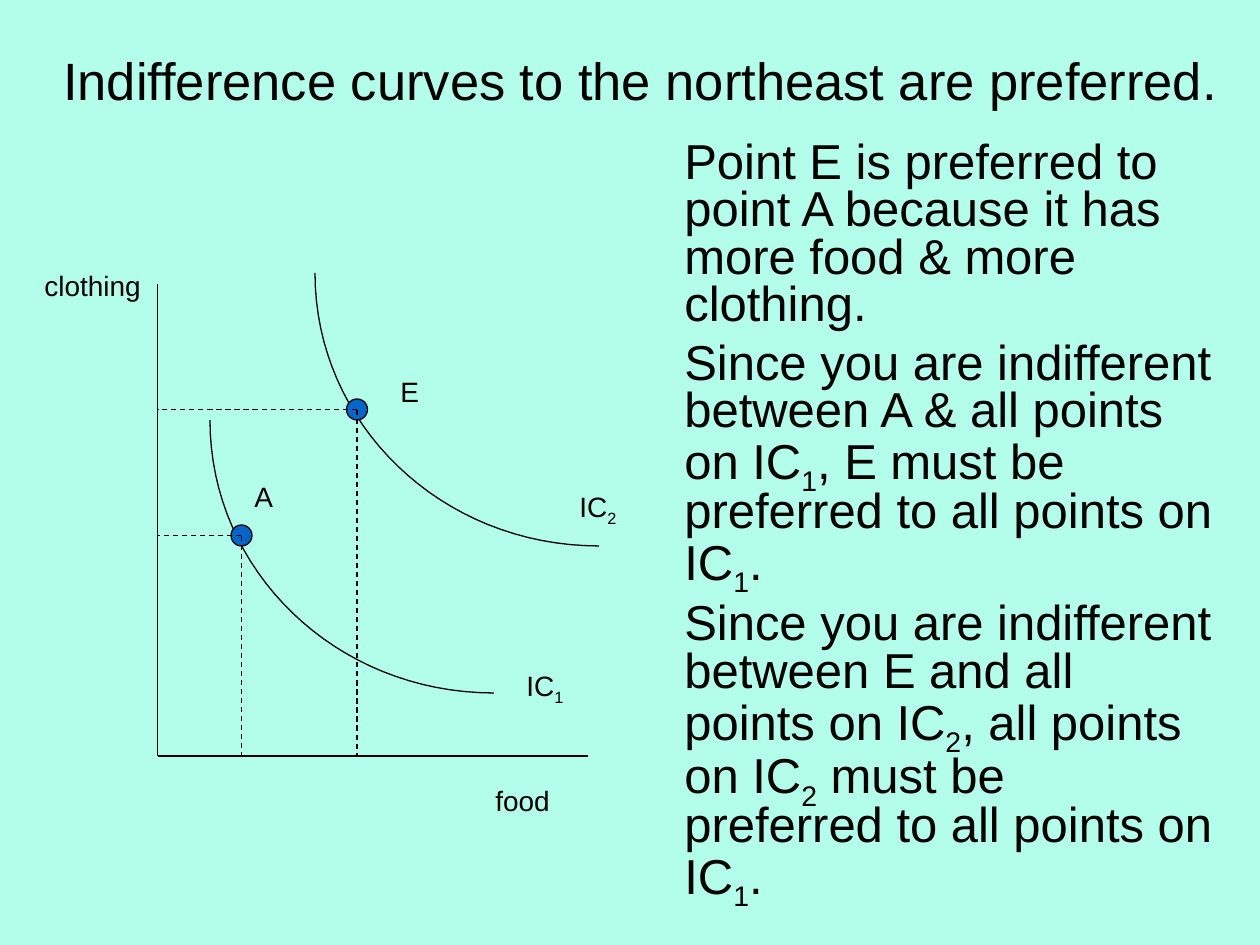
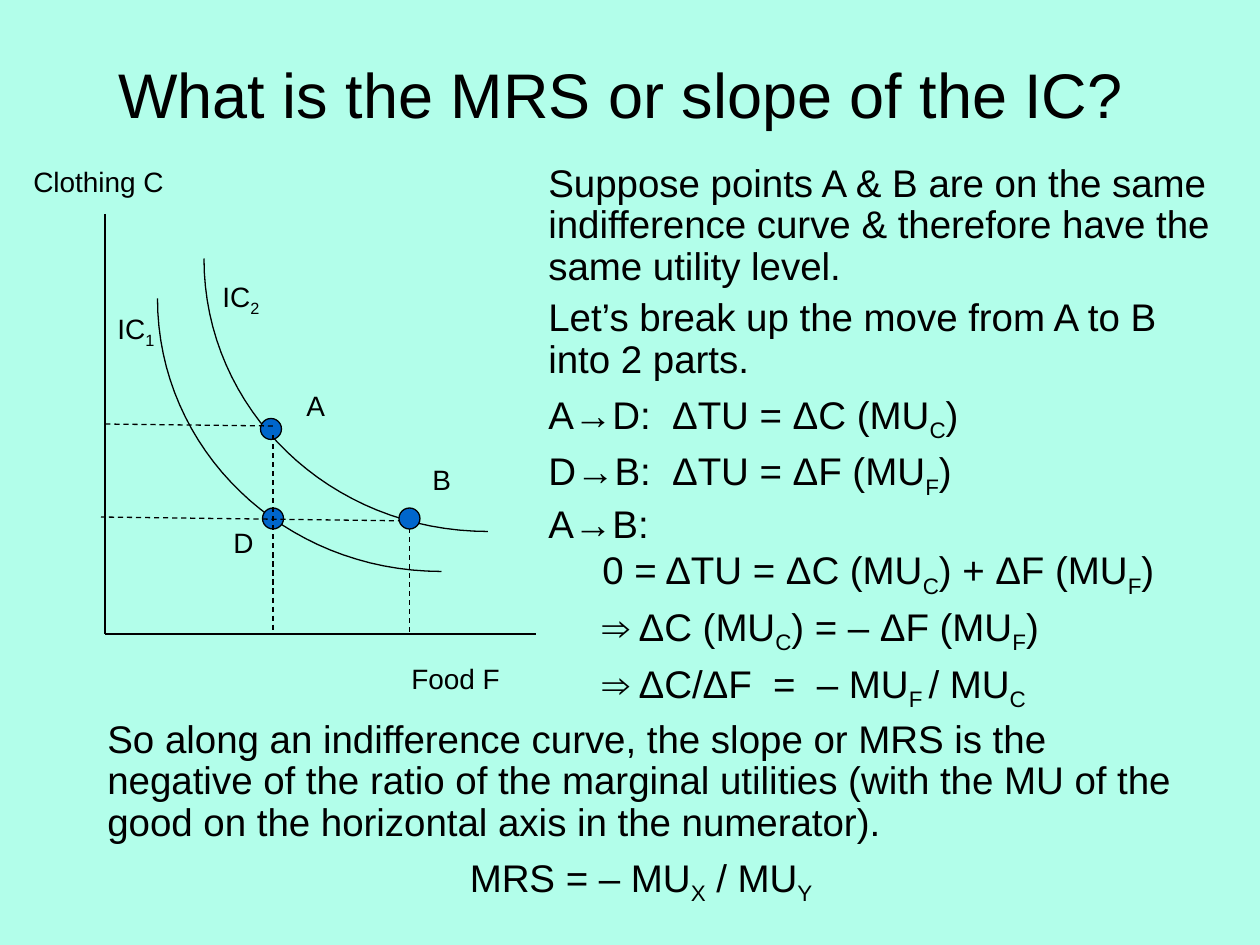
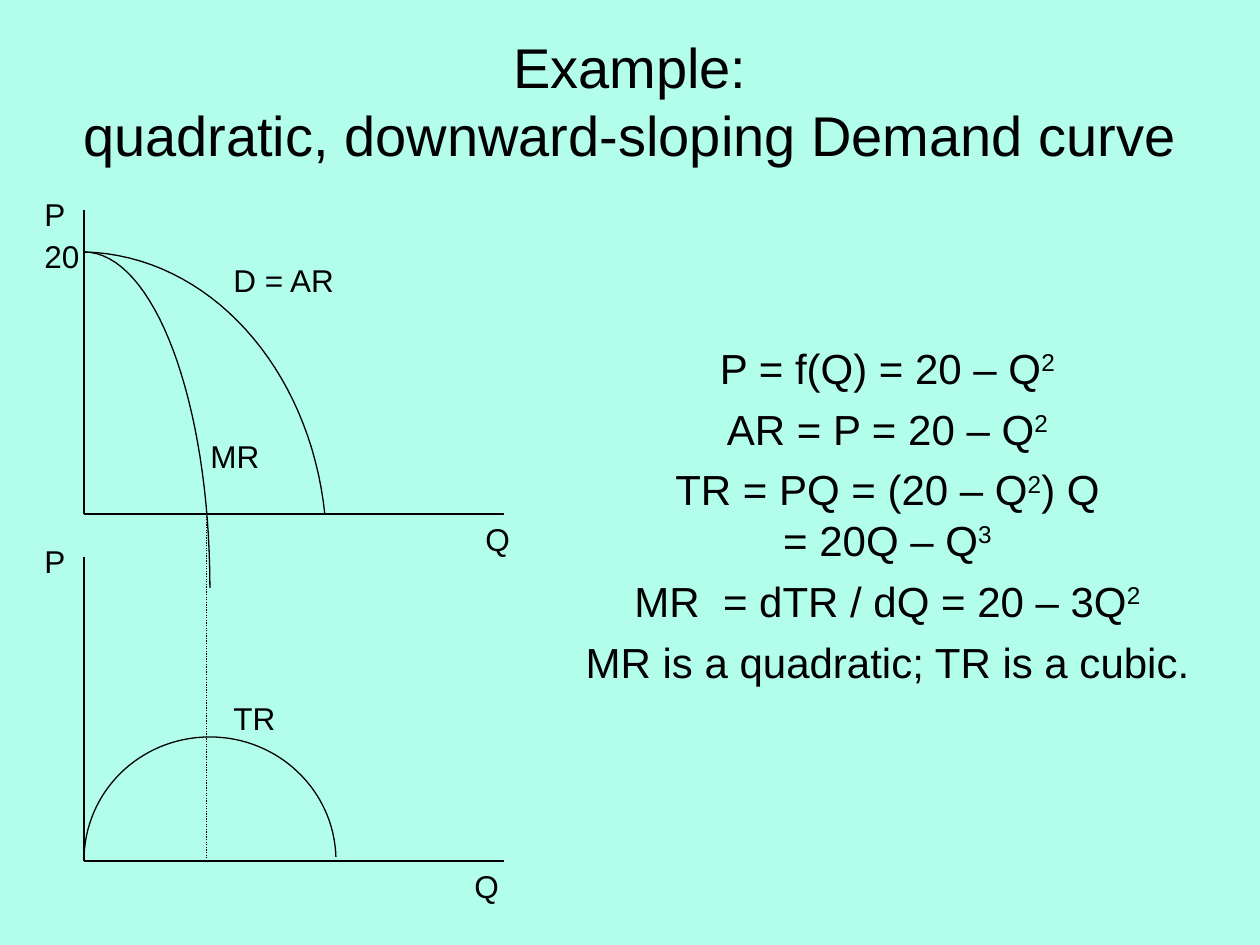
"""Build three economics slides on indifference curves, the MRS and demand."""
from dataclasses import dataclass, field

from lxml.etree import SubElement
from pptx import Presentation
from pptx.dml.color import RGBColor
from pptx.enum.dml import MSO_LINE
from pptx.enum.shapes import MSO_CONNECTOR, MSO_SHAPE
from pptx.enum.text import MSO_ANCHOR, MSO_AUTO_SIZE, PP_ALIGN
from pptx.oxml.ns import qn
from pptx.util import Pt

EMU_PER_PX = 914400 / 126
BASELINES = {"_": "-25000", "^": "30000"}


@dataclass(frozen=True)
class Theme:
    """Colours, font and sizes shared by the slides."""
    background: RGBColor = RGBColor(0xB2, 0xFE, 0xEA)
    ink: RGBColor = RGBColor(0, 0, 0)
    marker: RGBColor = RGBColor(0x00, 0x66, 0xCC)
    font: str = "Arial"
    label: int = 16
    axis_label: int = 18
    notes: int = 22
    equation: int = 24
    argument: int = 28
    long_title: int = 30
    two_line_title: int = 32
    title: int = 36
    line_width: float = 0.75
    marker_size: int = 21


@dataclass
class Line:
    """One paragraph, with its runs divided by bars."""
    text: str
    indent: int = 0
    format: dict = field(default_factory=dict)


THEME = Theme()
CENTERED = {"alignment": PP_ALIGN.CENTER}


def px(length):
    """Turn pixels into EMU."""
    return round(length * EMU_PER_PX)


def set_values(target, values):
    """Set each named attribute of the target."""
    for name, value in values.items():
        setattr(target, name, value)


def add_runs(paragraph, text, size):
    """Add runs; a leading _ or ^ lowers or raises a run."""
    for part in text.split("|"):
        if part == "\n":
            paragraph.add_line_break()
            continue
        run = paragraph.add_run()
        baseline = BASELINES.get(part[0])
        run.text = part[1:] if baseline else part
        set_values(run.font, {"name": THEME.font, "size": Pt(size)})
        run.font.color.rgb = THEME.ink
        if baseline:
            run._r.get_or_add_rPr().set("baseline", baseline)


def add_text(slide, box, lines, size, paragraph_format=None, frame_format=None):
    """Add a wrapped text box holding the given lines."""
    shape = slide.shapes.add_textbox(*map(px, box))
    frame = shape.text_frame
    set_values(frame, {"word_wrap": True, **(frame_format or {})})
    for index, line in enumerate(lines):
        paragraph = frame.paragraphs[0] if index == 0 else frame.add_paragraph()
        values = {**(paragraph_format or {}), **line.format}
        if index == 0:
            values["space_before"] = Pt(0)
        set_values(paragraph, values)
        if line.indent:
            paragraph._p.get_or_add_pPr().set("marL", str(px(line.indent)))
        add_runs(paragraph, line.text, size)


def add_title(slide, box, text, size):
    """Add a centred slide title."""
    add_text(slide, box, [Line(text)], size, CENTERED,
             {"vertical_anchor": MSO_ANCHOR.MIDDLE})


def add_labels(slide, labels, size):
    """Add graph labels given as text, left, top and width."""
    for text, left, top, width in labels:
        add_text(slide, (left, top, width, 47), [Line(text)], size,
                 frame_format={"auto_size": MSO_AUTO_SIZE.SHAPE_TO_FIT_TEXT})


def style_line(line, dash=None):
    """Give an outline the thin ink stroke."""
    line.color.rgb = THEME.ink
    set_values(line, {"width": Pt(THEME.line_width), "dash_style": dash})


def add_segment(slide, start, end, dash=None):
    """Add a straight connector between two points."""
    connector = slide.shapes.add_connector(
        MSO_CONNECTOR.STRAIGHT, *map(px, (*start, *end)))
    style_line(connector.line, dash)
    SubElement(connector._element.spPr, qn("a:effectLst"))


def add_axes(slide, origin, top, right):
    """Add a vertical and a horizontal axis meeting at the origin."""
    add_segment(slide, (origin[0], top), origin)
    add_segment(slide, origin, (right, origin[1]))


def bezier_points(start, first, second, end, steps=32):
    """Return EMU points along a cubic curve, after its start."""
    points = []
    for step in range(1, steps + 1):
        t = step / steps
        weights = ((1 - t) ** 3, 3 * t * (1 - t) ** 2, 3 * t * t * (1 - t), t ** 3)
        points.append(tuple(
            px(sum(weight * value for weight, value in zip(weights, values)))
            for values in zip(start, first, second, end)))
    return points


def add_curve(slide, start, *sections):
    """Add an open curve made of cubic sections."""
    builder = slide.shapes.build_freeform(*map(px, start))
    for first, second, end in sections:
        builder.add_line_segments(bezier_points(start, first, second, end), close=False)
        start = end
    shape = builder.convert_to_shape()
    shape.shadow.inherit = False
    shape.fill.background()
    style_line(shape.line)


def add_indifference_curve(slide, left, top):
    """Add a convex curve falling from the given top left corner."""
    right, bottom = left + 284, top + 273
    add_curve(slide, (right, bottom),
              ((left + 126, bottom), (left, top + 151), (left, top)))


def add_marker(slide, center):
    """Add a round marker on a point."""
    size = THEME.marker_size
    shape = slide.shapes.add_shape(
        MSO_SHAPE.OVAL, *(px(value - size / 2) for value in center), px(size), px(size))
    shape.shadow.inherit = False
    shape.fill.solid()
    shape.fill.fore_color.rgb = THEME.marker
    style_line(shape.line)


def build_preference_slide(slide):
    """Compare two indifference curves."""
    add_title(slide, (42, 32, 1197, 94),
              "Indifference curves to the northeast are preferred.", THEME.long_title)
    add_text(slide, (672, 136, 557, 777), [
        Line("Point E is preferred to point A because it has more food & more clothing."),
        Line("Since you are indifferent between A & all points on IC|_1|"
             ", E must be preferred to all points on IC|_1|."),
        Line("Since you are indifferent between E and all points on IC|_2|"
             ", all points on IC|_2| must be preferred to all points on IC|_1|."),
    ], THEME.argument, {"line_spacing": 0.8, "space_before": Pt(7)})
    origin = (157.5, 756)
    add_axes(slide, origin, 284, 588)
    for corner in ((210, 420), (315, 273)):
        add_indifference_curve(slide, *corner)
    for point in ((241.5, 535.5), (357, 409.5)):
        add_marker(slide, point)
        add_segment(slide, point, (point[0], origin[1]), MSO_LINE.DASH)
        add_segment(slide, point, (origin[0], point[1]), MSO_LINE.DASH)
    add_labels(slide, [
        ("clothing", 32, 262, 231), ("food", 483, 777, 84),
        ("A", 242, 473, 73), ("E", 388, 368, 73),
        ("IC|_1", 514, 662, 95), ("IC|_2", 567, 483, 95),
    ], THEME.label)


def build_slope_slide(slide):
    """Derive the marginal rate of substitution."""
    add_title(slide, (54, 38, 1134, 110), "What is the MRS or slope of the IC?", THEME.title)
    note_format = {"line_spacing": 0.9, "space_before": Pt(5.5)}
    add_text(slide, (536, 158, 703, 557), [
        Line("Suppose points A & B are on the same indifference curve"
             " & therefore have the same utility level."),
        Line("Let’s break up the move from A to B into 2 parts."),
        Line("A→D:  ΔTU = ΔC (MU|_C|)"),
        Line("D→B:  ΔTU = ΔF (MU|_F|)"),
        Line("A→B:"),
        Line("0 = ΔTU = ΔC (MU|_C|) + ΔF (MU|_F|)", 54, {"space_before": Pt(0)}),
        Line("⇒ ΔC (MU|_C|) = – ΔF (MU|_F|)", 54),
        Line("⇒ ΔC/ΔF  =  – MU|_F |/ MU|_C", 54),
    ], THEME.notes, note_format)
    add_axes(slide, (105, 634), 214, 536)
    for corner in ((157.5, 298.5), (204, 258.5)):
        add_indifference_curve(slide, *corner)
    for point in ((273, 518.5), (271, 429)):
        add_marker(slide, point)
    for start, end in (((273, 435), (273, 634)), ((409.5, 519), (409.5, 634)),
                       ((273, 426), (102, 424)), ((412, 521), (101, 517))):
        add_segment(slide, start, end, MSO_LINE.DASH)
    add_marker(slide, (409.5, 518.5))
    add_labels(slide, [
        ("Clothing C", 21, 158, 189), ("Food F", 399, 655, 136),
        ("A", 294, 382, 73), ("B", 420, 456, 73), ("D", 221, 519, 73),
        ("IC|_1", 105, 305, 73), ("IC|_2", 210, 273, 84),
    ], THEME.label)
    add_text(slide, (95, 714, 1092, 194), [
        Line("So along an indifference curve, the slope or MRS is the negative of the ratio"
             " of the marginal utilities (with the MU of the good on the horizontal axis"
             " in the numerator)."),
        Line("MRS = – MU|_X| / MU|_Y", format=CENTERED),
    ], THEME.notes, note_format)


def build_demand_slide(slide):
    """Show demand, marginal revenue and total revenue."""
    add_title(slide, (42, 21, 1176, 158),
              "Example:|\n|quadratic, downward-sloping Demand curve", THEME.two_line_title)
    for top in (210, 557):
        add_axes(slide, (84, top + 304), top, 504)
    add_segment(slide, (206.5, 861), (206.5, 514), MSO_LINE.ROUND_DOT)
    add_curve(slide, (84, 252), ((209, 255), (310, 368), (325, 515)))
    add_curve(slide, (84, 252), ((154, 252), (210, 402), (210, 588)))
    add_curve(slide, (336, 857), ((334, 790), (278, 737), (210, 737)),
              ((140, 737), (84, 792), (84, 861)))
    add_labels(slide, [
        ("P", 32, 189, 53), ("20", 32, 231, 63), ("Q", 473, 514, 53),
        ("D = AR", 221, 255, 136), ("MR", 198, 431, 95),
        ("P", 32, 536, 53), ("Q", 462, 861, 53), ("TR", 221, 693, 73),
    ], THEME.axis_label)
    add_text(slide, (546, 336, 683, 378), [
        Line("P = f(Q) = 20 – Q|^2"),
        Line("AR = P = 20 – Q|^2"),
        Line("TR = PQ = (20 – Q|^2|) Q|\n|= 20Q – Q|^3"),
        Line("MR  = dTR / dQ = 20 – 3Q|^2"),
        Line("MR is a quadratic; TR is a cubic."),
    ], THEME.equation, {**CENTERED, "space_before": Pt(6)})


def main():
    """Build and save the presentation."""
    presentation = Presentation()
    set_values(presentation, {"slide_width": px(1260), "slide_height": px(945)})
    background = presentation.slide_master.background.fill
    background.solid()
    background.fore_color.rgb = THEME.background
    for build in (build_preference_slide, build_slope_slide, build_demand_slide):
        build(presentation.slides.add_slide(presentation.slide_layouts[6]))
    presentation.save("out.pptx")


if __name__ == "__main__":
    main()
